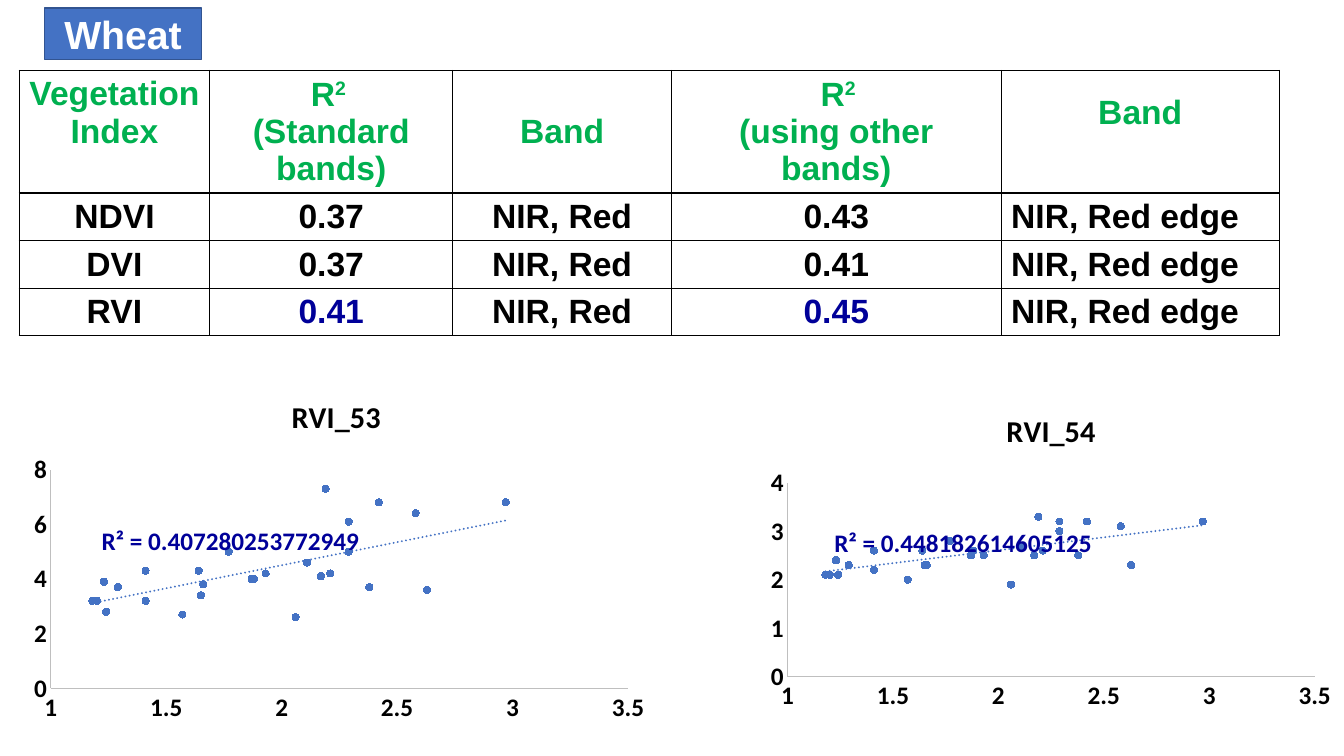
from lxml import etree
from pptx import Presentation
from pptx.chart.data import XyChartData
from pptx.dml.color import RGBColor
from pptx.enum.chart import XL_CHART_TYPE, XL_MARKER_STYLE, XL_TICK_MARK
from pptx.enum.shapes import MSO_SHAPE
from pptx.enum.text import MSO_ANCHOR, PP_ALIGN
from pptx.oxml import parse_xml
from pptx.oxml.ns import nsdecls, qn
from pptx.util import Inches, Pt

SCATTER = XL_CHART_TYPE.XY_SCATTER
CIRCLE = XL_MARKER_STYLE.CIRCLE
NO_TICK = XL_TICK_MARK.NONE
RECTANGLE = MSO_SHAPE.RECTANGLE
TOP, MIDDLE = MSO_ANCHOR.TOP, MSO_ANCHOR.MIDDLE
LEFT, CENTER = PP_ALIGN.LEFT, PP_ALIGN.CENTER

COLORS = {
    "blue": "4472C4", "edge": "325491", "green": "00B050", "navy": "000099",
    "black": "000000", "white": "FFFFFF", "axis": "BFBFBF",
}
COLUMN_WIDTHS = [1.89, 2.41, 2.17, 3.27, 2.76]
ROW_HEIGHTS = [1.21, 0.47, 0.47, 0.47]
HEADINGS = [
    ["Vegetation Index"],
    ["R", "(Standard bands)"],
    ["Band"],
    [" R", "(using other bands)"],
    ["Band"],
]
INDEX_ROWS = [("NDVI", "0.37", "0.43"), ("DVI", "0.37", "0.41"), ("RVI", "0.41", "0.45")]

BAND_RATIOS = [2.97, 2.29, 1.88, 2.58, 2.42, 2.21, 2.38, 2.19, 2.29, 2.63, 2.17, 2.11, 1.77, 1.93,
               1.66, 1.65, 1.2, 1.18, 1.29, 1.57, 2.06, 1.64, 1.41, 1.41, 1.23, 1.87, 1.24]
RVI_53 = [6.8, 6.1, 4, 6.4, 6.8, 4.2, 3.7, 7.3, 5, 3.6, 4.1, 4.6, 5, 4.2,
          3.8, 3.4, 3.2, 3.2, 3.7, 2.7, 2.6, 4.3, 4.3, 3.2, 3.9, 4, 2.8]
RVI_54 = [3.2, 3.2, 2.6, 3.1, 3.2, 2.6, 2.5, 3.3, 3, 2.3, 2.5, 2.7, 2.8, 2.5,
          2.3, 2.3, 2.1, 2.1, 2.3, 2, 1.9, 2.6, 2.6, 2.2, 2.4, 2.5, 2.1]


def rgb(name):
    return RGBColor.from_string(COLORS[name])


def style_font(font, size, color, face):
    font.size, font.bold, font.name = Pt(size), True, face
    font.color.rgb = rgb(color)


def style_text(frame, size, color, align=CENTER, face="Arial"):
    for paragraph in frame.paragraphs:
        paragraph.alignment = align
        for run in paragraph.runs:
            style_font(run.font, size, color, face)


def draw_borders(cell):
    properties = cell._tc.get_or_add_tcPr()
    for position, side in enumerate(("lnL", "lnR", "lnT", "lnB")):
        properties.insert(position, parse_xml(
            f'<a:{side} {nsdecls("a")} w="12700"><a:solidFill>'
            f'<a:srgbClr val="{COLORS["black"]}"/></a:solidFill></a:{side}>'))


def add_crop_label(slide, box):
    label = slide.shapes.add_shape(RECTANGLE, *map(Inches, box))
    label.shadow.inherit = False
    label.fill.solid()
    label.fill.fore_color.rgb = rgb("blue")
    label.line.color.rgb = rgb("edge")
    label.line.width = Pt(1)
    label.text_frame.text = "Wheat"
    label.text_frame.vertical_anchor = MIDDLE
    style_text(label.text_frame, 28, "white")


def fill_heading(cell, lines):
    frame = cell.text_frame
    frame.text = "\n".join(lines)
    if len(lines) > 1:
        exponent = frame.paragraphs[0].add_run()
        exponent.text = "2 "
        exponent._r.get_or_add_rPr().set("baseline", "30000")
    style_text(frame, 24, "green")
    cell.vertical_anchor = MIDDLE


def add_index_table(slide, box):
    table = slide.shapes.add_table(
        len(ROW_HEIGHTS), len(COLUMN_WIDTHS), *map(Inches, box)).table
    table.first_row = table.horz_banding = False
    for column, width in zip(table.columns, COLUMN_WIDTHS):
        column.width = Inches(width)
    for row, height in zip(table.rows, ROW_HEIGHTS):
        row.height = Inches(height)
    for cell, lines in zip(table.rows[0].cells, HEADINGS):
        fill_heading(cell, lines)
    table.cell(0, 0).vertical_anchor = TOP
    table.cell(0, 4).margin_bottom = Inches(0.43)
    for row, (index, standard, other) in enumerate(INDEX_ROWS, 1):
        entries = [index, standard, "NIR, Red", other, "NIR, Red edge"]
        for column, entry in enumerate(entries):
            cell = table.cell(row, column)
            cell.text_frame.text = entry
            best = index == "RVI" and column in (1, 3)
            style_text(cell.text_frame, 24, "navy" if best else "black",
                       LEFT if column == 4 else CENTER)
    for cell in table.iter_cells():
        cell.fill.background()
        draw_borders(cell)


def plot_layout(x, y, width, height):
    return parse_xml(
        f'<c:layout {nsdecls("c")}><c:manualLayout><c:layoutTarget val="inner"/>'
        f'<c:xMode val="edge"/><c:yMode val="edge"/><c:x val="{x}"/><c:y val="{y}"/>'
        f'<c:w val="{width}"/><c:h val="{height}"/></c:manualLayout></c:layout>')


def add_trend(series):
    trend = etree.fromstring(
        f'<c:trendline {nsdecls("c", "a")}><c:spPr><a:ln w="19050" cap="rnd"><a:solidFill>'
        f'<a:srgbClr val="{COLORS["blue"]}"/></a:solidFill><a:prstDash val="sysDot"/></a:ln></c:spPr>'
        '<c:trendlineType val="linear"/><c:dispRSqr val="0"/><c:dispEq val="0"/></c:trendline>')
    series._element.find(qn("c:xVal")).addprevious(trend)


def add_fit_label(slide, chart_box, fit):
    left, top, width, height = chart_box
    box = (left + 0.13 * width, top + 0.41 * height, 2.7, 0.36)
    frame = slide.shapes.add_textbox(*map(Inches, box)).text_frame
    frame.margin_left = frame.margin_right = frame.margin_top = frame.margin_bottom = 0
    frame.word_wrap = True
    frame.vertical_anchor = MIDDLE
    frame.text = fit
    style_text(frame, 18, "navy", LEFT, "Calibri")


def style_axis(axis, low, high, step):
    axis.minimum_scale, axis.maximum_scale, axis.major_unit = low, high, step
    axis.has_major_gridlines = False
    axis.major_tick_mark = axis.minor_tick_mark = NO_TICK
    axis.tick_labels.number_format = "General"
    axis.tick_labels.number_format_is_linked = False
    style_font(axis.tick_labels.font, 18, "black", "Calibri")
    axis.format.line.color.rgb = rgb("axis")
    axis.format.line.width = Pt(0.75)


def add_scatter(slide, box, title, name, values, top, plot, fit):
    data = XyChartData()
    points = data.add_series(name)
    for ratio, value in zip(BAND_RATIOS, values):
        points.add_data_point(ratio, value)
    chart = slide.shapes.add_chart(SCATTER, *map(Inches, box), data).chart
    chart.has_legend = False
    style_font(chart.font, 18, "black", "Calibri")
    chart.has_title = True
    chart.chart_title.text_frame.text = title
    style_font(chart.chart_title.text_frame.paragraphs[0].runs[0].font, 21.6, "black", "Calibri")
    chart.chart_title.include_in_layout = False
    style_axis(chart.category_axis, 1, 3.5, 0.5)
    style_axis(chart.value_axis, 0, top, top / 4)
    chart.plots[0].vary_by_categories = False
    series = chart.plots[0].series[0]
    series.format.line.fill.background()
    series.marker.style, series.marker.size = CIRCLE, 5
    series.marker.format.fill.solid()
    series.marker.format.fill.fore_color.rgb = rgb("blue")
    series.marker.format.line.color.rgb = rgb("blue")
    add_trend(series)
    area = chart._chartSpace.chart.plotArea
    for layout in area.findall(qn("c:layout")):
        area.remove(layout)
    area.insert(0, plot_layout(*plot))
    add_fit_label(slide, box, fit)


def main():
    presentation = Presentation()
    presentation.slide_width = Inches(13.33)
    presentation.slide_height = Inches(7.5)
    slide = presentation.slides.add_slide(presentation.slide_layouts[6])
    add_index_table(slide, (0.19, 0.7, sum(COLUMN_WIDTHS), sum(ROW_HEIGHTS)))
    add_crop_label(slide, (0.44, 0.08, 1.56, 0.51))
    add_scatter(slide, (0.19, 3.75, 6.29, 3.5), "RVI_53", "Series 1", RVI_53, 8,
                (0.05, 0.26, 0.91, 0.62), "R² = 0.407280253772949")
    add_scatter(slide, (7.52, 3.89, 5.81, 3.21), "RVI_54", "RVI_54", RVI_54, 4,
                (0.05, 0.28, 0.9, 0.6), "R² = 0.448182614605125")
    presentation.save("out.pptx")


if __name__ == "__main__":
    main()
